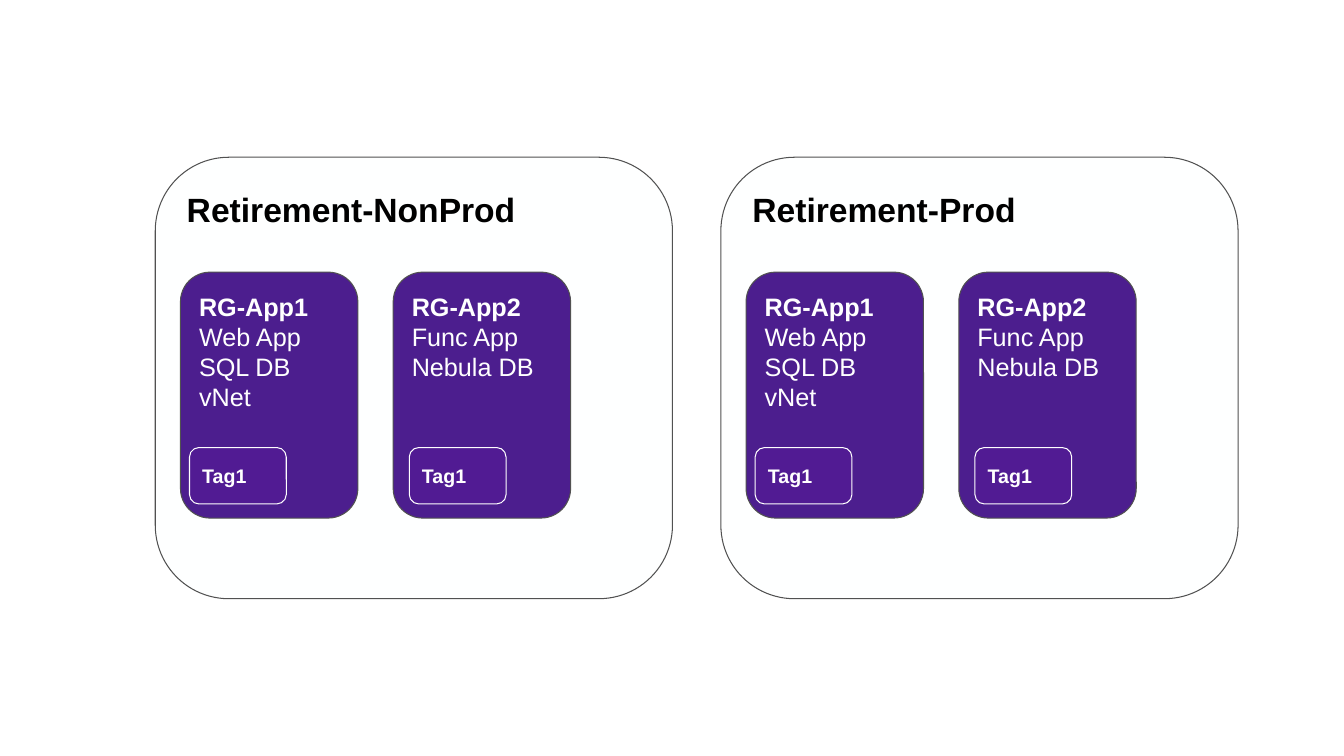
from pptx import Presentation
from pptx.dml.color import RGBColor
from pptx.enum.shapes import MSO_SHAPE
from pptx.enum.text import MSO_ANCHOR, PP_ALIGN
from pptx.util import Inches, Pt

ROUNDED = MSO_SHAPE.ROUNDED_RECTANGLE
TOP, MIDDLE = MSO_ANCHOR.TOP, MSO_ANCHOR.MIDDLE
LEFT = PP_ALIGN.LEFT

# Content
SUBSCRIPTIONS = ["Retirement-NonProd", "Retirement-Prod"]
RESOURCE_GROUPS = [
    {"name": "RG-App1", "resources": ["Web App", "SQL DB", "vNet"],
     "tag": "Tag1", "tag_inset": 0.09},
    {"name": "RG-App2", "resources": ["Func App", "Nebula DB"],
     "tag": "Tag1", "tag_inset": 0.16},
]

# Theme: colours and type sizes for each kind of box
THEME = {
    "font": "Arial",
    "line_width": 0.75,
    "subscription": {"fill": "FEFFFF", "line": "515151", "text": "000000",
                     "size": 24, "anchor": TOP},
    "group": {"fill": "4C1E8E", "line": "515151", "text": "FFFFFF",
              "size": 18, "anchor": TOP},
    "tag": {"fill": "511B93", "line": "FFFFFF", "text": "FFFFFF",
            "size": 14, "anchor": MIDDLE},
}

# Layout in inches
SUBSCRIPTION_LEFT, SUBSCRIPTION_TOP, SUBSCRIPTION_PITCH = 1.54, 1.56, 5.61
SUBSCRIPTION_SIZE = (5.13, 4.38)
GROUP_INSET, GROUP_TOP, GROUP_PITCH = 0.25, 2.7, 2.11
GROUP_SIZE = (1.76, 2.44)
TAG_TOP, TAG_SIZE = 4.44, (0.96, 0.56)


def add_box(page, kind, left, top, size, heading, details=()):
    """Add a rounded box with a bold heading and plain lines below it."""
    style = THEME[kind]
    box = page.shapes.add_shape(ROUNDED, Inches(left), Inches(top),
                                Inches(size[0]), Inches(size[1]))
    box.shadow.inherit = False
    box.fill.solid()
    box.fill.fore_color.rgb = RGBColor.from_string(style["fill"])
    box.line.color.rgb = RGBColor.from_string(style["line"])
    box.line.width = Pt(THEME["line_width"])

    frame = box.text_frame
    frame.word_wrap = True
    frame.vertical_anchor = style["anchor"]
    frame.margin_left = frame.margin_right = Inches(0.1)
    frame.margin_top = frame.margin_bottom = Inches(0.1)
    for index, text in enumerate([heading, *details]):
        para = frame.add_paragraph() if index else frame.paragraphs[0]
        para.alignment = LEFT
        span = para.add_run()
        span.text = text
        span.font.name = THEME["font"]
        span.font.size = Pt(style["size"])
        span.font.bold = index == 0
        span.font.color.rgb = RGBColor.from_string(style["text"])


def add_subscription(page, left, name):
    """Add a subscription with its resource groups and their tags on top."""
    add_box(page, "subscription", left, SUBSCRIPTION_TOP,
            SUBSCRIPTION_SIZE, name)
    group_lefts = [left + GROUP_INSET + column * GROUP_PITCH
                   for column in range(len(RESOURCE_GROUPS))]
    for group_left, group in zip(group_lefts, RESOURCE_GROUPS):
        add_box(page, "group", group_left, GROUP_TOP, GROUP_SIZE,
                group["name"], group["resources"])
    for group_left, group in zip(group_lefts, RESOURCE_GROUPS):
        add_box(page, "tag", group_left + group["tag_inset"], TAG_TOP,
                TAG_SIZE, group["tag"])


def main():
    deck = Presentation()
    deck.slide_width, deck.slide_height = Inches(13.33), Inches(7.5)
    page = deck.slides.add_slide(deck.slide_layouts[6])
    for column, name in enumerate(SUBSCRIPTIONS):
        add_subscription(page, SUBSCRIPTION_LEFT + column * SUBSCRIPTION_PITCH,
                         name)
    deck.save("out.pptx")


if __name__ == "__main__":
    main()
